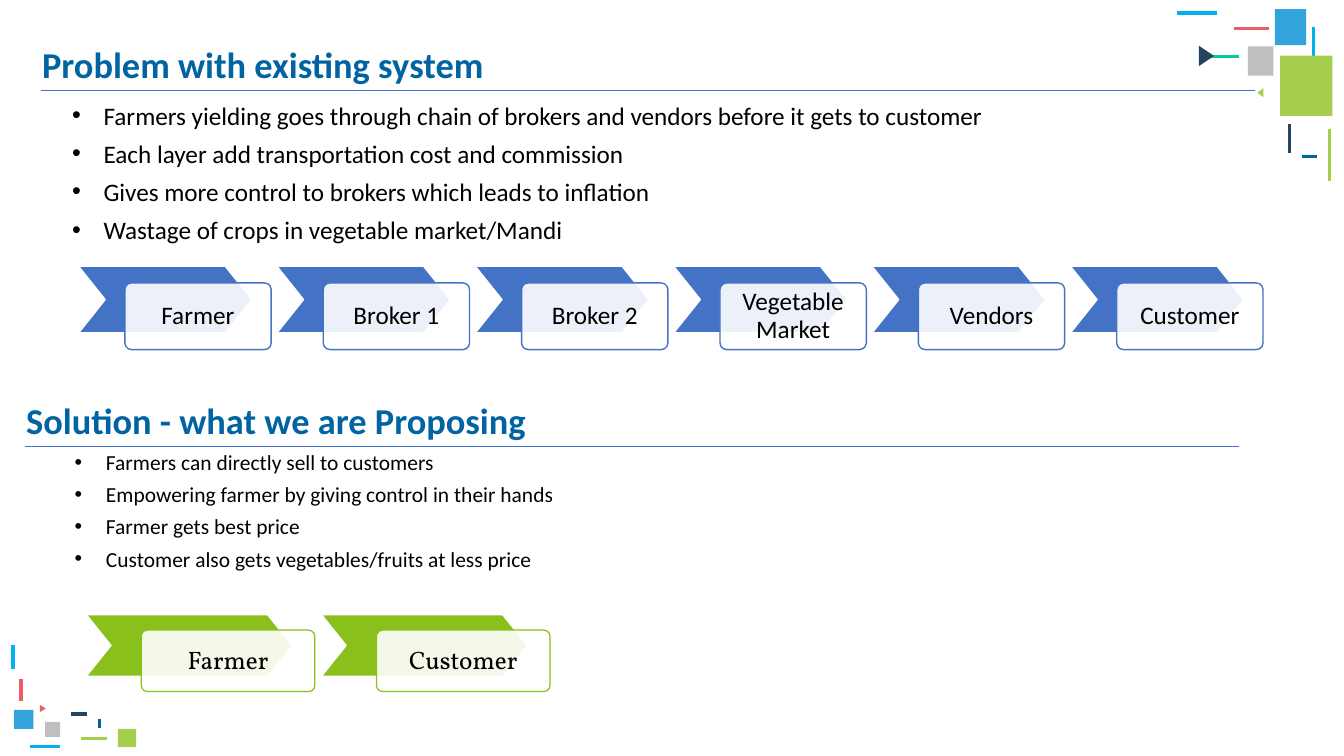
from dataclasses import dataclass

from pptx import Presentation
from pptx import util as u
from pptx.dml.color import RGBColor
from pptx.enum import shapes, text
from pptx.oxml import ns
from lxml import etree

RECT = shapes.MSO_SHAPE.RECTANGLE
TRIANGLE = shapes.MSO_SHAPE.ISOSCELES_TRIANGLE
LINE = None


@dataclass(frozen=True)
class Theme:
    white: str = "FFFFFF"
    black: str = "000000"
    title: str = "0064A2"
    blue: str = "4472C4"
    green: str = "89C01C"
    sky: str = "00B0F0"
    azure: str = "32A3DB"
    navy: str = "264460"
    mint: str = "00CC99"
    coral: str = "F05A66"
    lime: str = "A5CE4C"
    grey: str = "BFBFBF"
    font: str = "Calibri"
    serif: str = "Vollkorn"
    title_size: float = 26
    body_size: float = 18
    small_size: float = 15.3


T = Theme()


def rgb(colour):
    return RGBColor.from_string(colour)


def write(p, words, font=T.font, size=T.body_size, colour=T.black, bold=False,
          align=text.PP_ALIGN.LEFT, spacing=0.9, before=0, bullet=False):
    """Put formatted text into a paragraph."""
    p.alignment, p.line_spacing, p.space_before = align, spacing, u.Pt(before)
    if bullet:
        pPr = p._p.get_or_add_pPr()
        pPr.set("marL", str(u.Cm(0.79)))
        pPr.set("indent", str(-u.Cm(0.79)))
        etree.SubElement(pPr, ns.qn("a:buFont")).set("typeface", "Arial")
        etree.SubElement(pPr, ns.qn("a:buChar")).set("char", "•")
    r = p.add_run()
    r.text = words
    r.font.name, r.font.size, r.font.bold = font, u.Pt(size), bold
    r.font.color.rgb = rgb(colour)


def add_line(parent, x1, y1, x2, y2, colour, width):
    c = parent.add_connector(shapes.MSO_CONNECTOR.STRAIGHT,
                             u.Cm(x1), u.Cm(y1), u.Cm(x2), u.Cm(y2))
    c.line.color.rgb, c.line.width = rgb(colour), u.Pt(width)
    etree.SubElement(c._element.spPr, ns.qn("a:effectLst"))


def add_block(parent, kind, x, y, w, h, fill, outline=None, width=1):
    sp = parent.add_shape(kind, u.Cm(x), u.Cm(y), u.Cm(w), u.Cm(h))
    sp.shadow.inherit = False
    sp.fill.solid()
    sp.fill.fore_color.rgb = rgb(fill)
    if outline:
        sp.line.color.rgb, sp.line.width = rgb(outline), u.Pt(width)
    else:
        sp.line.fill.background()
    return sp


def add_text_box(s, x, y, w, h):
    tf = s.shapes.add_textbox(u.Cm(x), u.Cm(y), u.Cm(w), u.Cm(h)).text_frame
    tf.word_wrap = True
    return tf


def add_decoration(s, left, top, parts):
    """Corner ornament: lines (x1, y1, x2, y2, weight), blocks (x, y, w, h, turn)."""
    group = s.shapes.add_group_shape().shapes
    for kind, colour, x, y, a, b, extra in parts:
        if kind is LINE:
            add_line(group, left + x, top + y, left + a, top + b, colour, extra)
        else:
            add_block(group, kind, left + x, top + y, a, b, colour).rotation = extra


def add_heading(s, left, top, words):
    """Section title with the rule under it."""
    tf = add_text_box(s, left, top, 18.34, 1.24)
    write(tf.paragraphs[0], words, size=T.title_size, colour=T.title,
          bold=True, before=10)
    rule_x, rule_y = left + 0.23, top + 1.2
    add_line(s.shapes, rule_x, rule_y, rule_x + 30.58, rule_y, T.blue, 0.5)


def add_bullets(s, left, top, width, height, items, size, spacing):
    tf = add_text_box(s, left, top, width, height)
    for i, item in enumerate(items):
        p = tf.add_paragraph() if i else tf.paragraphs[0]
        write(p, item, size=size, spacing=spacing, before=10, bullet=True)


def add_chain(s, left, top, width, height, steps, colour, font, line_width):
    """Row of chevrons, each overlapped by a translucent label card."""
    group = s.shapes.add_group_shape().shapes
    for i, step in enumerate(steps):
        x = left + i * width * 1.144
        chevron = add_block(group, shapes.MSO_SHAPE.CHEVRON, x, top,
                            width, height, colour, T.white, line_width)
        chevron.adjustments[0] = 0.4
        card = add_block(group, shapes.MSO_SHAPE.ROUNDED_RECTANGLE,
                         x + width * 0.267, top + height * 0.25,
                         width * 0.844, height, T.white, colour, line_width)
        card.adjustments[0] = 0.1
        tint = card._element.spPr.find(ns.qn("a:solidFill"))[0]
        etree.SubElement(tint, ns.qn("a:alpha")).set("val", "90000")
        tf = card.text_frame
        tf.word_wrap = True
        tf.vertical_anchor = text.MSO_ANCHOR.MIDDLE
        tf.margin_left = tf.margin_right = u.Cm(0.36)
        tf.margin_top = tf.margin_bottom = u.Cm(0.36)
        write(tf.paragraphs[0], step, font=font, align=text.PP_ALIGN.CENTER)


TOP_RIGHT = [
    (LINE, T.sky, 3.43, 0.46, 3.43, 1.91, 2.25),
    (LINE, T.mint, 0.66, 1.19, 1.55, 1.19, 2.25),
    (TRIANGLE, T.navy, 0.48, 0.99, 0.51, 0.38, 90),
    (LINE, T.navy, 2.82, 2.9, 2.82, 3.63, 2.25),
    (RECT, T.azure, 2.46, 0, 0.79, 0.91, 0),
    (LINE, T.coral, 1.42, 0.48, 2.31, 0.48, 2.25),
    (LINE, T.lime, 3.84, 3.02, 3.84, 4.32, 2.25),
    (TRIANGLE, T.lime, 1.98, 2.03, 0.23, 0.15, 270),
    (RECT, T.grey, 1.78, 0.94, 0.64, 0.74, 0),
    (LINE, T.title, 3.15, 3.71, 3.53, 3.71, 2.25),
    (LINE, T.sky, 0, 0.1, 0.99, 0.1, 3),
    (RECT, T.lime, 2.59, 1.17, 1.32, 1.52, 0),
]
BOTTOM_LEFT = [
    (LINE, T.sky, 0.43, 2.54, 1.19, 2.54, 2.25),
    (LINE, T.navy, 1.47, 1.73, 1.85, 1.73, 2.25),
    (RECT, T.azure, 0.03, 1.63, 0.48, 0.48, 0),
    (LINE, T.coral, 0.2, 0.86, 0.2, 1.4, 2.25),
    (LINE, T.lime, 1.7, 2.34, 2.36, 2.34, 2.25),
    (TRIANGLE, T.coral, 0.66, 1.52, 0.18, 0.15, 90),
    (RECT, T.grey, 0.81, 1.93, 0.38, 0.38, 0),
    (LINE, T.title, 2.18, 1.85, 2.18, 2.08, 2.25),
    (LINE, T.sky, 0, 0, 0, 0.61, 3),
    (RECT, T.lime, 2.64, 2.11, 0.46, 0.46, 0),
]
PROBLEMS = [
    "Farmers yielding goes through chain of brokers and vendors before it gets to customer",
    "Each layer add transportation cost and commission",
    "Gives more control to brokers which leads to inflation",
    "Wastage of crops in vegetable market/Mandi",
]
BENEFITS = [
    "Farmers can directly sell to customers",
    "Empowering farmer by giving control in their hands",
    "Farmer gets best price",
    "Customer also gets vegetables/fruits at less price",
]
LONG_CHAIN = ["Farmer", "Broker 1", "Broker 2", "Vegetable Market", "Vendors", "Customer"]
SHORT_CHAIN = ["Farmer", "Customer"]


def main():
    prs = Presentation()
    prs.slide_width, prs.slide_height = u.Cm(33.87), u.Cm(19.05)
    s = prs.slides.add_slide(prs.slide_layouts[6])

    # Corner ornaments
    add_decoration(s, 29.67, 0.23, TOP_RIGHT)
    add_decoration(s, 0.33, 16.26, BOTTOM_LEFT)

    # Problem
    add_heading(s, 0.81, 1.07, "Problem with existing system")
    add_bullets(s, 1.57, 2.54, 29.85, 3.81, PROBLEMS, T.body_size, 0.8)
    add_chain(s, 1.98, 6.71, 4.37, 1.68, LONG_CHAIN, T.blue, T.font, 1)

    # Solution
    add_heading(s, 0.41, 10.04, "Solution - what we are Proposing")
    add_bullets(s, 1.63, 11.38, 24.56, 3.33, BENEFITS, T.small_size, 0.7)
    add_chain(s, 2.18, 15.49, 5.18, 1.55, SHORT_CHAIN, T.green, T.serif, 0.85)

    prs.save("out.pptx")


if __name__ == "__main__":
    main()
